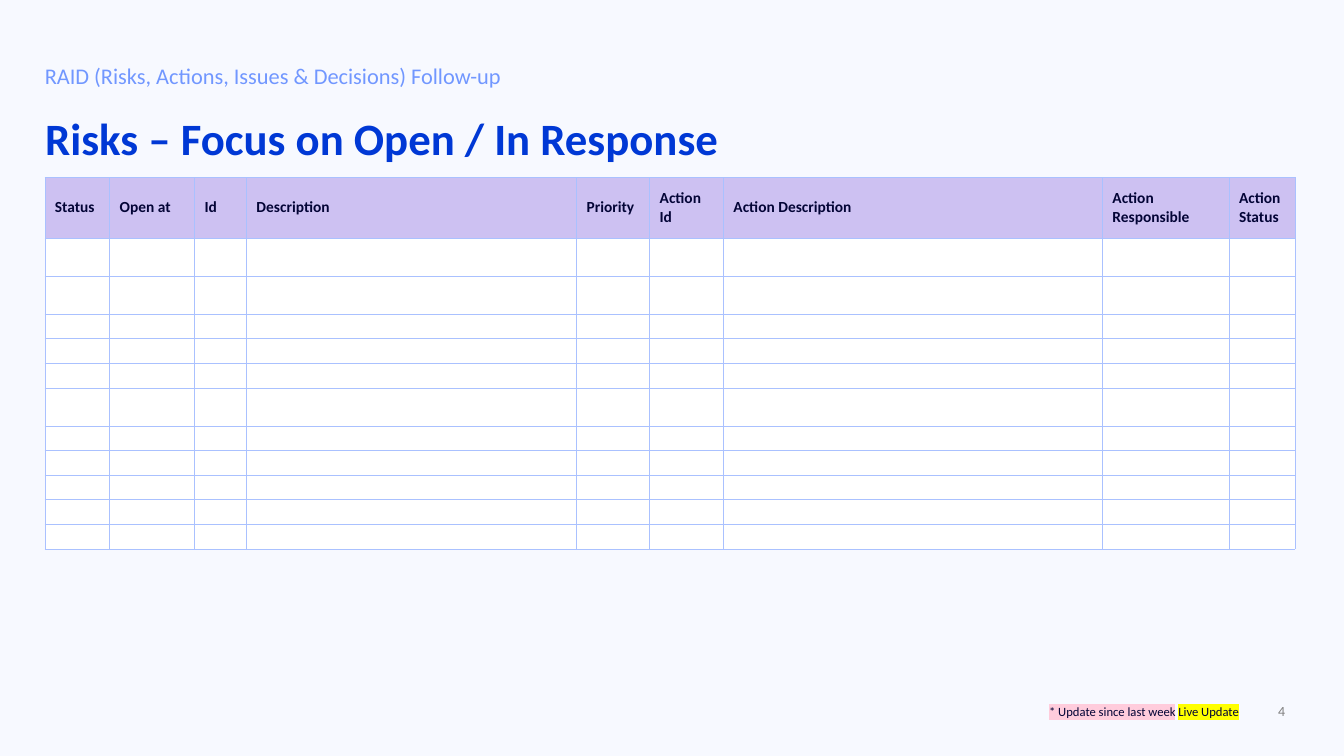
from lxml.etree import SubElement
from pptx import Presentation
from pptx.dml.color import RGBColor
from pptx.enum.text import MSO_ANCHOR, PP_ALIGN
from pptx.oxml import parse_xml
from pptx.oxml.ns import nsdecls, qn
from pptx.util import Cm, Pt

BLUE = RGBColor(0x00, 0x38, 0xD5)
SKY = RGBColor(0x71, 0x97, 0xFF)
NAVY = RGBColor(0x03, 0x04, 0x36)
GREY = RGBColor(0x80, 0x80, 0x80)
LILAC = RGBColor(0xCD, 0xC1, 0xF2)
WHITE = RGBColor(0xFF, 0xFF, 0xFF)
PALE = RGBColor(0xF7, 0xF9, 0xFF)
LINE = RGBColor(0xAA, 0xC1, 0xFF)
PINK = RGBColor(0xFF, 0xCC, 0xDC)
YELLOW = RGBColor(0xFF, 0xFF, 0x00)

# Heading and width in cm of each column
COLUMNS = [
    ("Status", 1.63), ("Open at", 2.14), ("Id", 1.31),
    ("Description", 8.32), ("Priority", 1.84), ("Action Id", 1.86),
    ("Action Description", 9.55), ("Action Responsible", 3.19),
    ("Action Status", 1.67),
]
HEAD, TALL, LOW = 1.52, 0.96, 0.62
ROWS = [HEAD, TALL, TALL, LOW, LOW, LOW, TALL] + [LOW] * 5


class Page:
    def __init__(self, slide, font):
        self.slide = slide
        self.font = font

    def back(self, color):
        fill = self.slide.background.fill
        fill.solid()
        fill.fore_color.rgb = color

    def style(self, run, size, color, bold=False):
        run.font.name = self.font
        run.font.size = Pt(size)
        run.font.bold = bold
        run.font.color.rgb = color

    def mark(self, run, color):
        """Highlight a styled run."""
        fill = run.font._element.find(qn("a:solidFill"))
        fill.addnext(parse_xml(
            f'<a:highlight {nsdecls("a")}><a:srgbClr val="{color}"/></a:highlight>'))

    def text(self, box, parts, size, color, bold=False, left=0.25,
             align=PP_ALIGN.LEFT, anchor=MSO_ANCHOR.TOP):
        """Add a text box from (text, highlight) parts; return its paragraph."""
        frame = self.slide.shapes.add_textbox(*map(Cm, box)).text_frame
        frame.word_wrap = True
        frame.margin_left = Cm(left)
        frame.vertical_anchor = anchor
        para = frame.paragraphs[0]
        para.alignment = align
        for words, light in parts:
            run = para.add_run()
            run.text = words
            self.style(run, size, color, bold)
            if light is not None:
                self.mark(run, light)
        return para

    def border(self, cell, color, width):
        props = cell._tc.get_or_add_tcPr()
        for place, side in enumerate(("lnL", "lnR", "lnT", "lnB")):
            props.insert(place, parse_xml(
                f'<a:{side} {nsdecls("a")} w="{Pt(width)}"><a:solidFill>'
                f'<a:srgbClr val="{color}"/></a:solidFill></a:{side}>'))

    def table(self, left, top, columns, rows):
        """Add a table with a heading row and empty rows below it."""
        width = sum(wide for _, wide in columns)
        grid = self.slide.shapes.add_table(
            len(rows), len(columns), Cm(left), Cm(top), Cm(width), Cm(sum(rows))).table
        grid.horz_banding = False
        for col, (_, wide) in zip(grid.columns, columns):
            col.width = Cm(wide)
        for index, (row, high) in enumerate(zip(grid.rows, rows)):
            row.height = Cm(high)
            for cell, (name, _) in zip(row.cells, columns):
                cell.fill.solid()
                cell.fill.fore_color.rgb = WHITE if index else LILAC
                cell.vertical_anchor = MSO_ANCHOR.MIDDLE
                self.border(cell, LINE, 0.25)
                para = cell.text_frame.paragraphs[0]
                if index:
                    # A small size keeps empty rows at their set height
                    SubElement(para._p, qn("a:endParaRPr"), sz="800")
                else:
                    para.text = name
                    self.style(para.runs[0], 11, NAVY, True)


def main():
    deck = Presentation()
    deck.slide_width, deck.slide_height = Cm(33.87), Cm(19.05)
    page = Page(deck.slides.add_slide(deck.slide_layouts[6]), "Calibri")
    page.back(PALE)
    page.text((1.14, 2.67, 31.5, 1.65),
              [("Risks – Focus on Open / In Response", None)], 32, BLUE, True, left=0)
    page.text((25.02, 17.58, 7.62, 0.69), [("4", None)], 10, GREY,
              align=PP_ALIGN.RIGHT, anchor=MSO_ANCHOR.MIDDLE)
    topic = page.text((1.13, 1.3, 31.5, 1.09),
                      [("RAID (Risks, Actions, Issues & Decisions) Follow-up", None)],
                      16, SKY, left=0)
    topic.line_spacing = 1.2
    topic.space_before, topic.space_after = Pt(10), Pt(6)
    page.table(1.13, 4.47, COLUMNS, ROWS)
    page.text((25.45, 17.22, 6.76, 1.4),
              [("* Update since last week", PINK), (" ", None), ("Live Update", YELLOW)],
              9, NAVY, align=PP_ALIGN.CENTER, anchor=MSO_ANCHOR.MIDDLE)
    deck.save("out.pptx")


if __name__ == "__main__":
    main()
